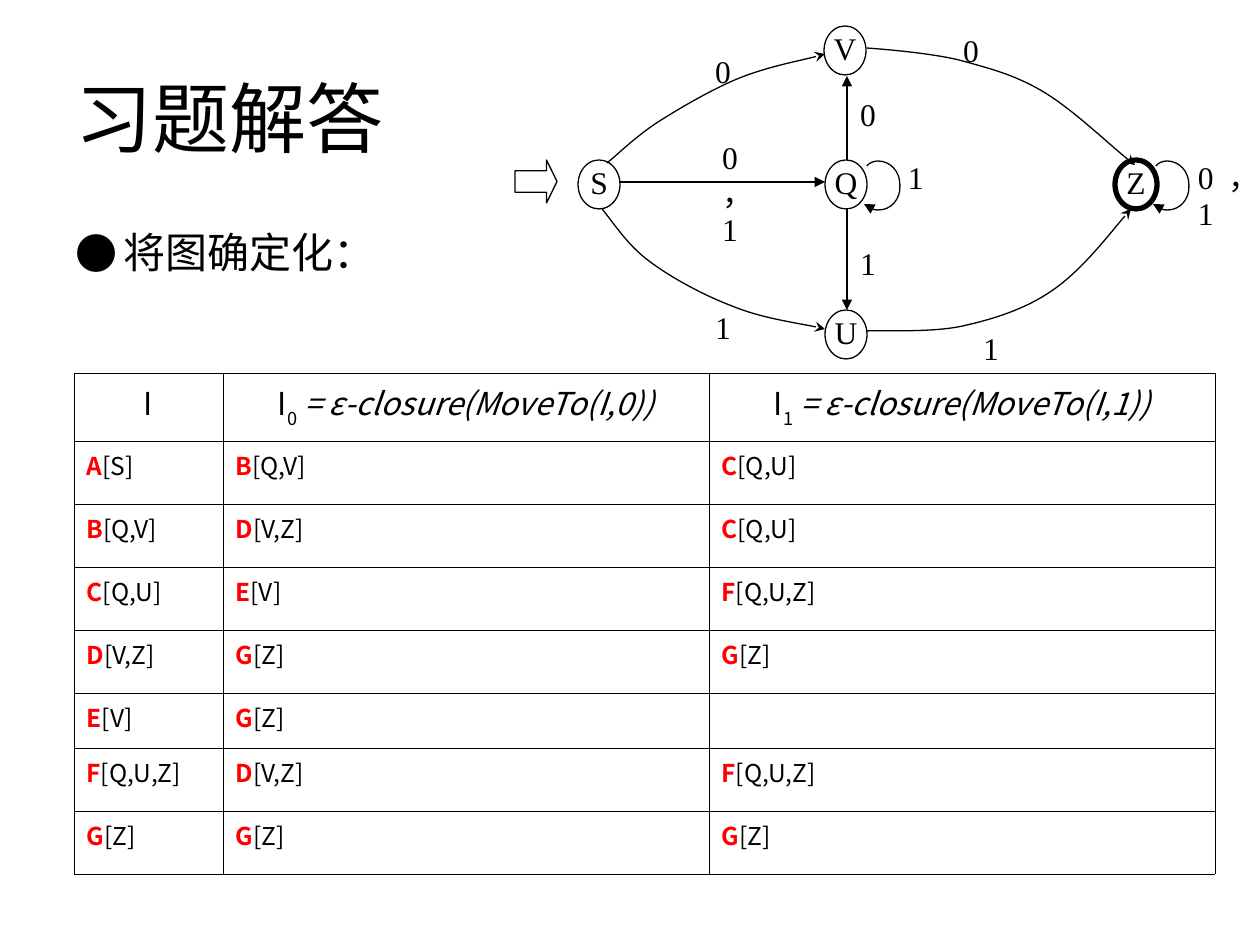
from lxml.etree import SubElement
from pptx import Presentation
from pptx.dml.color import RGBColor
from pptx.enum.shapes import MSO_CONNECTOR, MSO_SHAPE
from pptx.enum.text import MSO_ANCHOR, PP_ALIGN
from pptx.oxml.ns import qn
from pptx.util import Pt

COLORS = {"ink": "000000", "paper": "FFFFFF", "state": "FF0000"}
SANS, SERIF, CJK = "Arial", "Times New Roman", "Noto Sans CJK SC"
PX = 914400 / 126

TITLE = "习题解答"
TASK = "将图确定化："

NODE_W, NODE_H = 42, 49
NODES = [  # name, left, top, outline in points
    ("S", 578, 160, 0.75), ("Z", 1115, 160, 3), ("V", 824, 26, 0.75),
    ("U", 825, 310, 0.75), ("Q", 825, 160, 0.75),
]
START_ARROW = (515, 160, 42, 43)
STRAIGHT_EDGES = [  # from, to
    ((619, 182), (825, 182)), ((847, 160), (847, 76)), ((847, 209), (847, 310)),
]
# Cubic curves: a start, then two control points and an end for each piece
CURVED_EDGES = [
    [(607, 163), (616, 156), (635, 137), (658, 122), (680, 108), (714, 88),
     (742, 77), (771, 66), (809, 59), (825, 54)],
    [(602, 209), (610, 218), (627, 245), (649, 261), (670, 277), (703, 295),
     (732, 306), (761, 318), (805, 324), (825, 329)],
    [(867, 48), (882, 49), (930, 53), (959, 60), (988, 68), (1013, 74),
     (1042, 91), (1071, 108), (1115, 150), (1135, 165)],
    [(867, 331), (883, 330), (931, 333), (963, 326), (994, 319), (1026, 309),
     (1053, 290), (1082, 270), (1115, 227), (1131, 209)],
]
LOOP = [(867, 166), (869, 163), (874, 161), (878, 161), (890, 161), (900, 171),
        (900, 185), (901, 199), (891, 210), (879, 210), (874, 210), (869, 208),
        (864, 204)]
LOOP_SHIFTS = [0, 289]  # at Q and at Z
LABEL_H = 43
LABELS = [  # text, left, top, width, alignment
    ("0", 702, 54, 42, PP_ALIGN.CENTER), ("0", 950, 33, 42, PP_ALIGN.CENTER),
    ("0", 847, 97, 42, PP_ALIGN.CENTER), ("1", 847, 246, 42, PP_ALIGN.CENTER),
    ("1", 702, 310, 42, PP_ALIGN.CENTER), ("1", 970, 331, 42, PP_ALIGN.CENTER),
    ("0，1", 722, 140, 42, PP_ALIGN.JUSTIFY), ("1", 908, 160, 20, PP_ALIGN.JUSTIFY),
    ("0，1", 1198, 160, 62, PP_ALIGN.JUSTIFY),
]

TABLE_LEFT, TABLE_TOP = 74, 373
COLUMNS = [149, 486, 506]
ROWS = [68, 63, 63, 63, 63, 55, 63, 63]
HEADERS = [("I", "", ""), ("I", "0", " = ε-closure(MoveTo(I,0))"),
           ("I", "1", " = ε-closure(MoveTo(I,1))")]  # base, subscript, formula
STATES = {"A": "[S]", "B": "[Q,V]", "C": "[Q,U]", "D": "[V,Z]", "E": "[V]",
          "F": "[Q,U,Z]", "G": "[Z]"}
TRANSITIONS = ["ABC", "BDC", "CEF", "DGG", "EG", "FDF", "GGG"]  # I, I0, I1


def emu(*lengths):
    return [round(length * PX) for length in lengths]


def rgb(name):
    return RGBColor.from_string(COLORS[name])


def set_font(paragraph, size, latin, color="ink"):
    font = paragraph.font
    font.size, font.name = Pt(size), latin
    font.color.rgb = rgb(color)
    SubElement(font._element, qn("a:ea")).set("typeface", CJK)


def fill_frame(frame, text, size, latin, align, spacing=None, inset=None):
    frame.word_wrap = True
    if inset is not None:
        frame.margin_left = frame.margin_right = inset
        frame.margin_top = frame.margin_bottom = inset
    paragraph = frame.paragraphs[0]
    paragraph.text, paragraph.alignment = text, align
    if spacing:
        paragraph.line_spacing = spacing
    set_font(paragraph, size, latin)


def outline(shape, width=0.75, arrowhead=None):
    shape.line.width = Pt(width)
    shape.line.color.rgb = rgb("ink")
    if arrowhead:
        SubElement(shape.line._get_or_add_ln(), qn("a:tailEnd")).set("type", arrowhead)


def add_figure(shapes, kind, box, width=0.75):
    figure = shapes.add_shape(kind, *emu(*box))
    figure.fill.solid()
    figure.fill.fore_color.rgb = rgb("paper")
    outline(figure, width)
    figure.shadow.inherit = False
    return figure


def add_curve(shapes, points, arrowhead):
    """Draw the points as a freeform and turn each three segments into one cubic."""
    builder = shapes.build_freeform(*points[0], scale=PX)
    builder.add_line_segments(points[1:], close=False)
    curve = builder.convert_to_shape()
    segments = list(curve._element.iter(qn("a:lnTo")))
    for i in range(0, len(segments), 3):
        first, *others = segments[i:i + 3]
        first.tag = qn("a:cubicBezTo")
        for segment in others:
            first.append(segment[0])
            segment.getparent().remove(segment)
    curve.fill.background()
    outline(curve, arrowhead=arrowhead)
    curve.shadow.inherit = False


def add_edge(shapes, start, end):
    edge = shapes.add_connector(MSO_CONNECTOR.STRAIGHT, *emu(*start, *end))
    outline(edge, arrowhead="triangle")
    SubElement(edge._element.spPr, qn("a:effectLst"))


def add_task(shapes):
    box = shapes.add_textbox(*emu(63, 220, 557, 624))
    properties = box.text_frame.paragraphs[0]._p.get_or_add_pPr()
    [indent] = emu(48)
    properties.set("marL", str(indent))
    properties.set("indent", str(-indent))
    SubElement(properties, qn("a:buFont")).set("typeface", CJK)
    SubElement(properties, qn("a:buChar")).set("char", "●")
    fill_frame(box.text_frame, TASK, 24, CJK, PP_ALIGN.LEFT)


def style_cell(cell):
    properties = cell._tc.get_or_add_tcPr()
    for side in ("lnL", "lnR", "lnT", "lnB"):
        border = SubElement(properties, qn("a:" + side), w=str(Pt(0.45)))
        fill = SubElement(border, qn("a:solidFill"))
        SubElement(fill, qn("a:srgbClr")).set("val", COLORS["ink"])
    cell.fill.background()


def add_header(paragraph, base, subscript, formula):
    paragraph.alignment = PP_ALIGN.CENTER
    set_font(paragraph, 18, CJK)
    paragraph.add_run().text = base
    if subscript:
        lower = paragraph.add_run()
        lower.text = subscript
        lower.font._element.set("baseline", "-30000")
        closure = paragraph.add_run()
        closure.text, closure.font.italic = formula, True


def add_state(paragraph, state):
    set_font(paragraph, 14, CJK)
    if state:
        name = paragraph.add_run()
        name.text, name.font.bold = state, True
        name.font.color.rgb = rgb("state")
        paragraph.add_run().text = STATES[state]


def add_transition_table(shapes):
    box = emu(TABLE_LEFT, TABLE_TOP, sum(COLUMNS), sum(ROWS))
    table = shapes.add_table(len(ROWS), len(COLUMNS), *box).table
    table.first_row = table.horz_banding = False
    for column, width in zip(table.columns, emu(*COLUMNS)):
        column.width = width
    for row, height in zip(table.rows, emu(*ROWS)):
        row.height = height
    for r in range(len(ROWS)):
        for c in range(len(COLUMNS)):
            cell = table.cell(r, c)
            style_cell(cell)
            paragraph = cell.text_frame.paragraphs[0]
            if r == 0:
                add_header(paragraph, *HEADERS[c])
            else:
                add_state(paragraph, TRANSITIONS[r - 1][c:c + 1])


def main():
    deck = Presentation()
    deck.slide_width, deck.slide_height = emu(1260, 945)
    shapes = deck.slides.add_slide(deck.slide_layouts[5]).shapes

    title = shapes.title
    title.left, title.top, title.width, title.height = emu(63, 38, 1134, 158)
    title.text_frame.vertical_anchor = MSO_ANCHOR.MIDDLE
    fill_frame(title.text_frame, TITLE, 44, SANS, PP_ALIGN.LEFT)
    add_task(shapes)

    add_figure(shapes, MSO_SHAPE.RIGHT_ARROW, START_ARROW).adjustments[1] = 0.25
    for name, left, top, width in NODES:
        node = add_figure(shapes, MSO_SHAPE.OVAL, (left, top, NODE_W, NODE_H), width)
        node.text_frame.vertical_anchor = MSO_ANCHOR.MIDDLE
        fill_frame(node.text_frame, name, 18, SERIF, PP_ALIGN.CENTER, 0.88, 0)
    for start, end in STRAIGHT_EDGES:
        add_edge(shapes, start, end)
    for points in CURVED_EDGES:
        add_curve(shapes, points, "stealth")
    for shift in LOOP_SHIFTS:
        add_curve(shapes, [(x + shift, y) for x, y in LOOP], "triangle")
    for text, left, top, width, align in LABELS:
        label = shapes.add_textbox(*emu(left, top, width, LABEL_H))
        fill_frame(label.text_frame, text, 18, SERIF, align, 0.96, 0)

    add_transition_table(shapes)
    deck.save("out.pptx")


if __name__ == "__main__":
    main()
